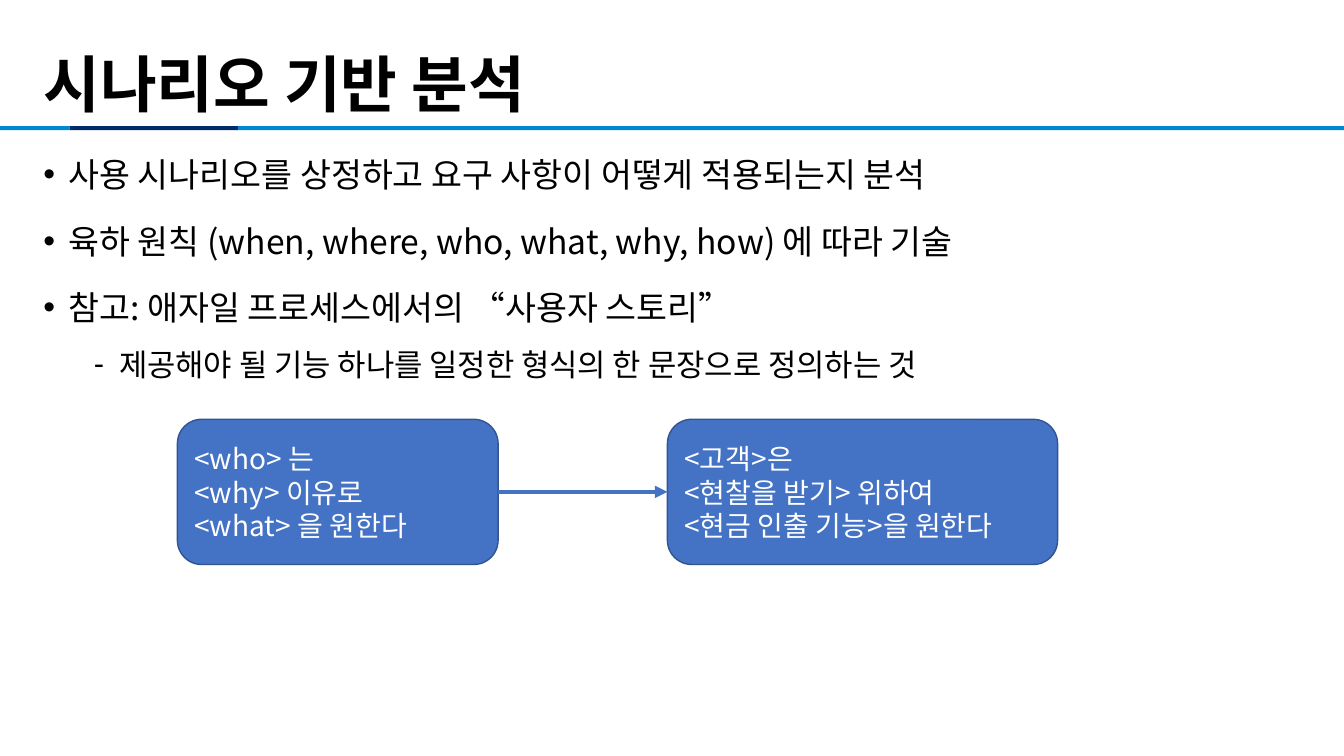
from dataclasses import dataclass
from itertools import pairwise

from lxml.etree import SubElement
from pptx import Presentation
from pptx.dml.color import RGBColor
from pptx.enum.shapes import MSO_CONNECTOR, MSO_SHAPE
from pptx.enum.text import MSO_ANCHOR, MSO_AUTO_SIZE, PP_ALIGN
from pptx.oxml.ns import qn
from pptx.shapes.autoshape import Shape
from pptx.slide import Slide
from pptx.util import Inches, Pt

SLIDE_WIDTH, SLIDE_HEIGHT = Inches(13.33), Inches(7.5)


@dataclass(frozen=True)
class Theme:
    font: str = "Noto Sans CJK KR"
    ink: str = "000000"
    card_ink: str = "FFFFFF"
    card: str = "4472C4"
    card_edge: str = "325491"
    rule: str = "0186D1"
    rule_accent: str = "002967"
    title_size: int = 44
    point_size: int = 24
    detail_size: int = 22
    card_size: int = 20


@dataclass(frozen=True)
class Area:
    """Percentages of the slide's width and height."""
    left: float
    top: float
    width: float
    height: float

    def box(self) -> tuple[int, int, int, int]:
        return (across(self.left), down(self.top), across(self.width), down(self.height))


@dataclass(frozen=True)
class Point:
    text: str
    level: int = 0


@dataclass(frozen=True)
class PointStyle:
    bullet: str
    indent: float
    space_before: int
    size: int


@dataclass(frozen=True)
class StoryCard:
    lines: tuple[str, ...]
    left: float
    width: float


THEME = Theme()
HANGING = 0.25
MARGIN, CONTENT_WIDTH = 2.48, 94.75
TITLE_AREA = Area(MARGIN, 5.33, CONTENT_WIDTH, 11.33)
BODY_AREA = Area(MARGIN, 18.13, CONTENT_WIDTH, 78.53)
RULE_TOP, RULE_HEIGHT = 16.67, 0.53
RULE_STOPS = (0, 5.18, 17.7, 100)
RULE_COLORS = (THEME.rule, THEME.rule_accent, THEME.rule)
CARD_TOP, CARD_HEIGHT = 55.47, 19.2

POINT_STYLES = (
    PointStyle("•", 0.25, 10, THEME.point_size),
    PointStyle("-", 0.75, 5, THEME.detail_size),
)
POINTS = (
    Point("사용 시나리오를 상정하고 요구 사항이 어떻게 적용되는지 분석"),
    Point("육하 원칙 (when, where, who, what, why, how) 에 따라 기술"),
    Point("참고: 애자일 프로세스에서의 “사용자 스토리”"),
    Point("제공해야 될 기능 하나를 일정한 형식의 한 문장으로 정의하는 것", 1),
)
STORY_TEMPLATE = StoryCard(("<who> 는", "<why> 이유로", "<what> 을 원한다"), 13.2, 23.86)
STORY_EXAMPLE = StoryCard(
    ("<고객>은", "<현찰을 받기> 위하여", "<현금 인출 기능>을 원한다"), 49.66, 29.03
)


def across(percent: float) -> int:
    return round(SLIDE_WIDTH * percent / 100)


def down(percent: float) -> int:
    return round(SLIDE_HEIGHT * percent / 100)


def format_runs(paragraph, size: int, color: str, bold: bool = False) -> None:
    for run in paragraph.runs:
        run.font.size = Pt(size)
        run.font.bold = bold
        run.font.color.rgb = RGBColor.from_string(color)
        run.font.name = THEME.font
        SubElement(run.font._element, qn("a:ea"), typeface=THEME.font)


def place(shape: Shape, area: Area) -> None:
    shape.left, shape.top, shape.width, shape.height = area.box()
    shape.text_frame.word_wrap = True
    shape.text_frame.auto_size = MSO_AUTO_SIZE.NONE


def add_filled(slide: Slide, kind: MSO_SHAPE, area: Area, color: str) -> Shape:
    shape = slide.shapes.add_shape(kind, *area.box())
    shape.shadow.inherit = False
    shape.fill.solid()
    shape.fill.fore_color.rgb = RGBColor.from_string(color)
    shape.line.fill.background()
    return shape


def write_title(slide: Slide, text: str) -> None:
    title = slide.shapes.title
    place(title, TITLE_AREA)
    title.text_frame.text = text
    title.text_frame.vertical_anchor = MSO_ANCHOR.BOTTOM
    heading = title.text_frame.paragraphs[0]
    heading.alignment = PP_ALIGN.LEFT
    heading.line_spacing = 0.9
    format_runs(heading, THEME.title_size, THEME.ink, bold=True)


def write_points(slide: Slide) -> None:
    body = slide.placeholders[1]
    place(body, BODY_AREA)
    body.text_frame.text = "\n".join(point.text for point in POINTS)
    for paragraph, point in zip(body.text_frame.paragraphs, POINTS):
        style = POINT_STYLES[point.level]
        paragraph.level = point.level
        paragraph.line_spacing = 1.3
        paragraph.space_before = Pt(style.space_before)
        format_runs(paragraph, style.size, THEME.ink)
        properties = paragraph._p.get_or_add_pPr()
        properties.set("marL", str(Inches(style.indent)))
        properties.set("indent", str(-Inches(HANGING)))
        SubElement(properties, qn("a:buFont"), typeface="Arial")
        SubElement(properties, qn("a:buChar"), char=style.bullet)


def add_card(slide: Slide, card: StoryCard) -> Shape:
    area = Area(card.left, CARD_TOP, card.width, CARD_HEIGHT)
    shape = add_filled(slide, MSO_SHAPE.ROUNDED_RECTANGLE, area, THEME.card)
    shape.line.color.rgb = RGBColor.from_string(THEME.card_edge)
    shape.line.width = Pt(1)
    shape.text_frame.word_wrap = True
    shape.text_frame.vertical_anchor = MSO_ANCHOR.MIDDLE
    story = shape.text_frame.paragraphs[0]
    story.text = "\v".join(card.lines)
    story.alignment = PP_ALIGN.LEFT
    format_runs(story, THEME.card_size, THEME.card_ink)
    return shape


def add_arrow(slide: Slide, start: Shape, end: Shape) -> None:
    arrow = slide.shapes.add_connector(MSO_CONNECTOR.STRAIGHT, 0, 0, 0, 0)
    arrow.begin_connect(start, 3)
    arrow.end_connect(end, 1)
    arrow.line.color.rgb = RGBColor.from_string(THEME.card)
    arrow.line.width = Pt(3)
    SubElement(arrow.line._get_or_add_ln(), qn("a:tailEnd"), type="triangle")
    SubElement(arrow._element.spPr, qn("a:effectLst"))


def main() -> None:
    deck = Presentation()
    deck.slide_width, deck.slide_height = SLIDE_WIDTH, SLIDE_HEIGHT
    slide = deck.slides.add_slide(deck.slide_layouts[1])

    # Rule under the title
    for (left, right), color in zip(pairwise(RULE_STOPS), RULE_COLORS):
        segment = Area(left, RULE_TOP, right - left, RULE_HEIGHT)
        add_filled(slide, MSO_SHAPE.RECTANGLE, segment, color)

    # Title and list
    write_title(slide, "시나리오 기반 분석")
    write_points(slide)

    # User story: template and example
    template = add_card(slide, STORY_TEMPLATE)
    example = add_card(slide, STORY_EXAMPLE)
    add_arrow(slide, template, example)

    deck.save("out.pptx")


if __name__ == "__main__":
    main()
